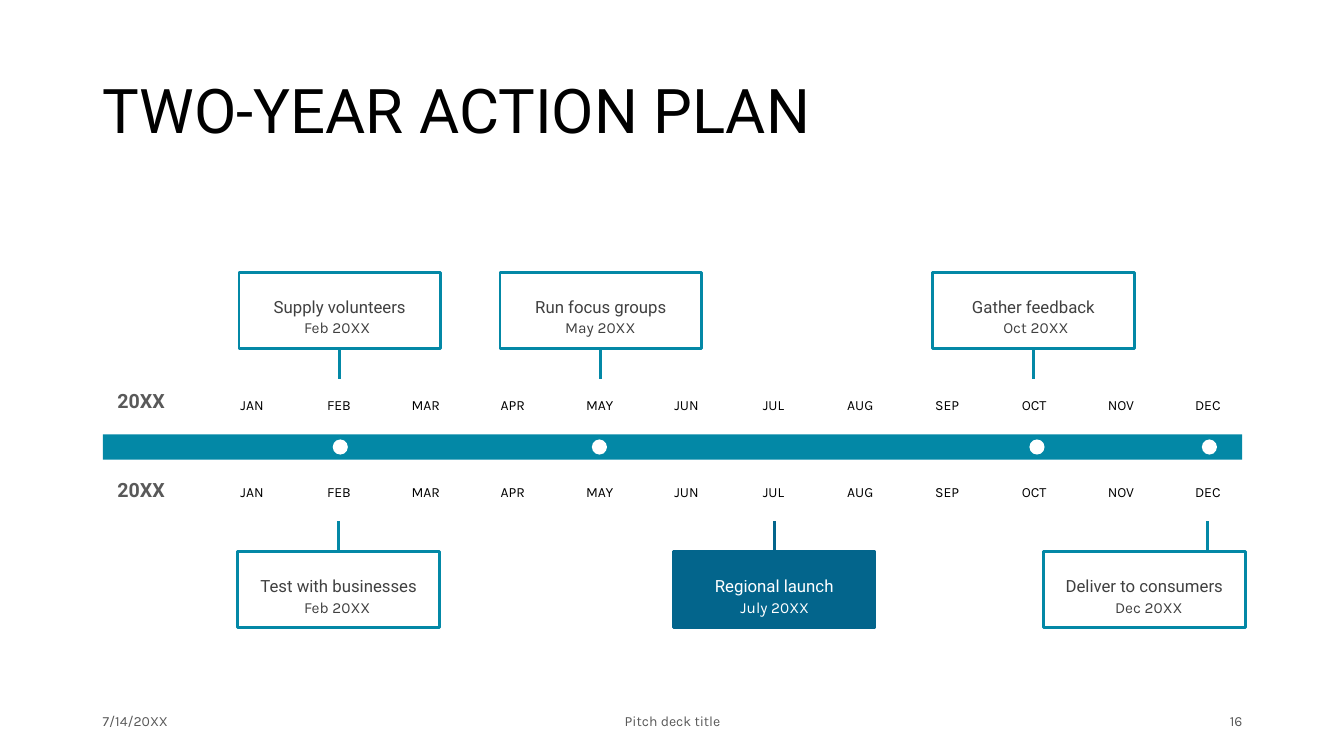
from lxml.etree import SubElement
from pptx import Presentation
from pptx.dml.color import RGBColor
from pptx.enum.shapes import MSO_CONNECTOR as Connector, MSO_SHAPE as Shape
from pptx.enum.text import MSO_ANCHOR as Anchor, PP_ALIGN as Align
from pptx.oxml.ns import qn
from pptx.util import Inches, Pt

TEAL, NAVY, WHITE, BLACK = "0388A6", "03658C", "FFFFFF", "000000"
DARK, GREY = "404040", "595959"
HEADING, BODY = "Roboto", "Karla"
MONTHS = "JAN FEB MAR APR MAY JUN JUL AUG SEP OCT NOV DEC".split()
FIRST_MONTH, LAST_MONTH = 2.15, 11.63
CARD_WIDTH, CARD_HEIGHT, STEM = 2, 0.76, 0.3
UPPER_TOP, LOWER_TOP = 2.7, 5.47
BAR_TOP, BAR_HEIGHT, DOT = 4.31, 0.25, 0.15


def color(value):
    return RGBColor.from_string(value)


class TimelineSlide:
    def __init__(self, presentation):
        self.slide = presentation.slides.add_slide(presentation.slide_layouts[6])
        self.shapes = self.slide.shapes

    def set_text(self, shape, text, size, font, ink, align=Align.CENTER,
                 anchor=Anchor.TOP, spacing=0.9, bold=False, insets=None):
        """Put one styled run in a shape; insets are left, top, right, bottom."""
        frame = shape.text_frame
        frame.word_wrap = True
        frame.vertical_anchor = anchor
        if insets:
            (frame.margin_left, frame.margin_top,
             frame.margin_right, frame.margin_bottom) = map(Inches, insets)
        paragraph = frame.paragraphs[0]
        paragraph.alignment = align
        paragraph.line_spacing = spacing
        run = paragraph.add_run()
        run.text = text
        run.font.name, run.font.size, run.font.bold = font, Pt(size), bold
        run.font.color.rgb = color(ink)

    def label(self, left, top, width, height, text, size, font, ink, **style):
        box = self.shapes.add_textbox(*map(Inches, (left, top, width, height)))
        self.set_text(box, text, size, font, ink, **style)

    def block(self, kind, left, top, width, height, fill=None, line=None):
        shape = self.shapes.add_shape(kind, *map(Inches, (left, top, width, height)))
        shape.shadow.inherit = False
        if fill:
            shape.fill.solid()
            shape.fill.fore_color.rgb = color(fill)
        else:
            shape.fill.background()
        if line:
            shape.line.color.rgb = color(line)
            shape.line.width = Pt(2)
        else:
            shape.line.fill.background()
        return shape

    def stem(self, x, top, line):
        connector = self.shapes.add_connector(
            Connector.STRAIGHT, *map(Inches, (x, top, x, top + STEM)))
        connector.line.color.rgb = color(line)
        connector.line.width = Pt(2)
        SubElement(connector.element.spPr, qn("a:effectLst"))
        return connector

    def card(self, left, date_left, stem_x, title, date, above, strong=False):
        """Draw a milestone card, its date and the stem towards the months."""
        top = UPPER_TOP if above else LOWER_TOP
        line, ink = (NAVY, WHITE) if strong else (TEAL, DARK)
        card = self.block(Shape.RECTANGLE, left, top, CARD_WIDTH, CARD_HEIGHT,
                          fill=NAVY if strong else None, line=line)
        self.set_text(card, title, 12, HEADING, ink, spacing=2, insets=(0, 0.04, 0, 0))
        self.label(date_left, top + 0.48, 1.85, 0.25, date, 11, BODY, ink,
                   insets=(0, 0, 0, 0))
        stem = self.stem(stem_x, top + CARD_HEIGHT if above else top - STEM, line)
        if Inches(stem_x) == Inches(left + CARD_WIDTH / 2):
            if above:
                stem.begin_connect(card, 2)
            else:
                stem.end_connect(card, 0)

    def year(self, year_top, months_top):
        self.label(1, year_top, 0.8, 0.5, "20XX", 14, HEADING, GREY,
                   anchor=Anchor.MIDDLE, bold=True)
        step = (LAST_MONTH - FIRST_MONTH) / (len(MONTHS) - 1)
        for index, month in enumerate(MONTHS):
            self.label(FIRST_MONTH + index * step, months_top, 0.7, 0.22,
                       month, 10, BODY, BLACK)

    def footer(self, left, width, text, align):
        self.label(left, 6.95, width, 0.4, text, 10, BODY, GREY,
                   align=align, anchor=Anchor.MIDDLE, spacing=1.0)


def main():
    presentation = Presentation()
    presentation.slide_width, presentation.slide_height = Inches(13.33), Inches(7.5)
    page = TimelineSlide(presentation)

    page.label(0.92, 0.4, 11.5, 1.45, "TWO-YEAR ACTION PLAN", 44, HEADING, BLACK,
               align=Align.LEFT, anchor=Anchor.MIDDLE)

    page.block(Shape.RECTANGLE, 1.02, BAR_TOP, 11.3, BAR_HEIGHT, fill=TEAL)
    for dot_left in (3.3, 5.87, 10.21, 11.92):
        page.block(Shape.OVAL, dot_left, BAR_TOP + (BAR_HEIGHT - DOT) / 2,
                   DOT, DOT, fill=WHITE)

    page.year(3.74, 3.9)
    page.year(4.62, 4.77)

    page.card(2.37, 2.42, 3.37, "Supply volunteers", "Feb 20XX", above=True)
    page.card(4.96, 5.03, 5.96, "Run focus groups", "May 20XX", above=True)
    page.card(9.25, 9.35, 10.25, "Gather feedback", "Oct 20XX", above=True)
    page.card(2.36, 2.42, 3.36, "Test with businesses", "Feb 20XX", above=False)
    page.card(6.68, 6.76, 7.68, "Regional launch", "July 20XX", above=False, strong=True)
    page.card(10.35, 10.47, 11.98, "Deliver to consumers", "Dec 20XX", above=False)

    page.footer(0.92, 3, "7/14/20XX", Align.LEFT)
    page.footer(4.42, 4.5, "Pitch deck title", Align.CENTER)
    page.footer(9.42, 3, "16", Align.RIGHT)

    presentation.save("out.pptx")


if __name__ == "__main__":
    main()
